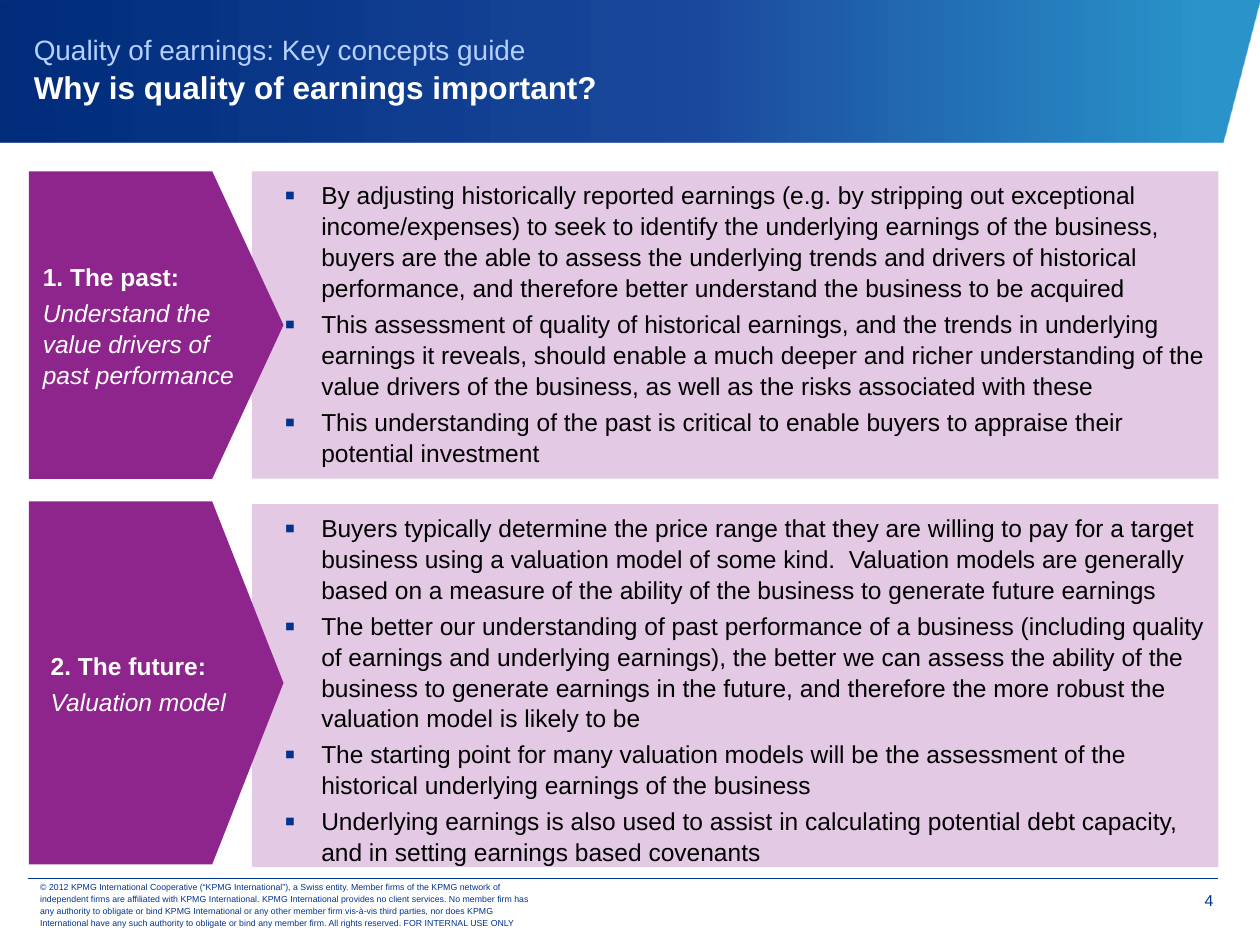
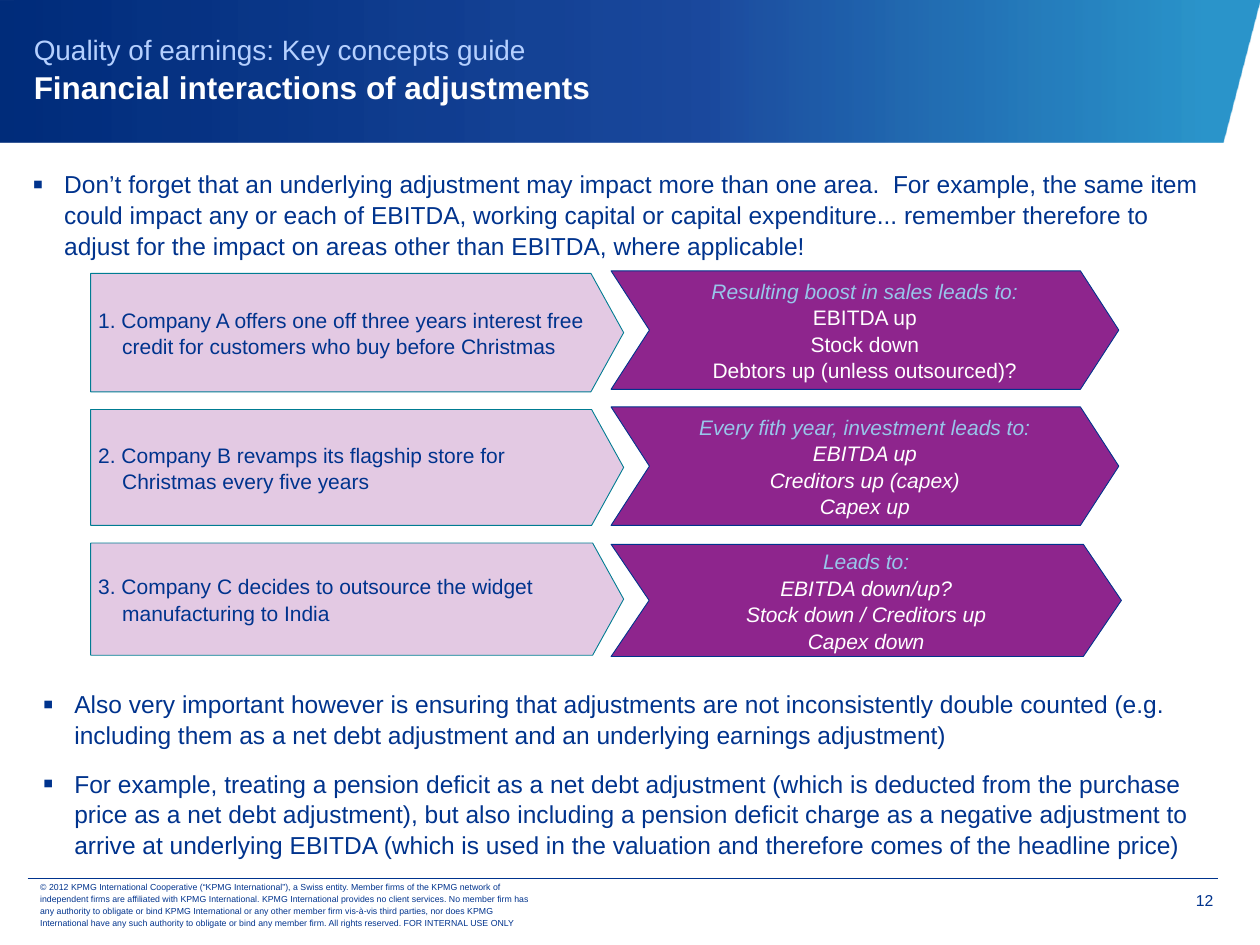
from dataclasses import dataclass
from typing import Any

import lxml.etree
import pptx
import pptx.dml.color
import pptx.enum.shapes
import pptx.enum.text
import pptx.oxml
import pptx.oxml.ns
import pptx.util

RGB = pptx.dml.color.RGBColor
Pt = pptx.util.Pt
MSO = pptx.enum.shapes.MSO_SHAPE
ALIGN = pptx.enum.text.PP_ALIGN
ANCHOR = pptx.enum.text.MSO_ANCHOR
qn = pptx.oxml.ns.qn

NAVY = RGB(0x00, 0x33, 0x8D)
PALE_BLUE = RGB(0xB5, 0xD0, 0xFF)
SKY = RGB(0x98, 0xC6, 0xEA)
TEAL = RGB(0x00, 0x7C, 0x92)
PURPLE = RGB(0x8E, 0x25, 0x8D)
LILAC = RGB(0xE3, 0xC9, 0xE3)
WHITE = RGB(0xFF, 0xFF, 0xFF)
BLACK = RGB(0x00, 0x00, 0x00)
BAND_STOPS = [
    (4, RGB(0x00, 0x80, 0xC0), 83),
    (44, RGB(0x00, 0x34, 0x92), 89),
    (100, RGB(0x00, 0x2C, 0x7A), 100),
]

WIDTH, HEIGHT = pptx.util.Inches(10), pptx.util.Inches(7.5)
COLUMN, ROW = WIDTH / 100, HEIGHT / 75
FONT = "Arial"
GUIDE = "Quality of earnings: Key concepts guide"
COPYRIGHT = (
    "© 2012 KPMG International Cooperative (“KPMG International”), a Swiss entity. "
    "Member firms of the KPMG network of independent firms are affiliated with KPMG "
    "International. KPMG International provides no client services. No member firm has any "
    "authority to obligate or bind KPMG International or any other member firm vis-à-vis third "
    "parties, nor does KPMG International have any such authority to obligate or bind any "
    "member firm. All rights reserved. FOR INTERNAL USE ONLY"
)


@dataclass(frozen=True)
class Box:
    left: float
    top: float
    width: float
    height: float

    def emu(self) -> list[int]:
        return [cols(self.left), rows(self.top), cols(self.width), rows(self.height)]


@dataclass(frozen=True)
class Para:
    text: str
    size: float
    color: RGB
    bold: bool = False
    italic: bool = False
    align: Any = None
    before: float = 0
    after: float = 0
    spacing: Any = 1.05
    indent: float = 0
    hanging: float = 0
    bullet: bool = False


@dataclass(frozen=True)
class Period:
    heading: str
    summary: str
    arrow_top: float
    panel_top: float
    height: float
    points: list[str]


@dataclass(frozen=True)
class Interaction:
    cause: str
    cause_top: float
    cause_height: float
    lead: str
    effects: list[str]
    effects_italic: bool
    effect: Box
    notch: float


def cols(n: float) -> int:
    return round(n * COLUMN)


def rows(n: float) -> int:
    return round(n * ROW)


def assign(obj: Any, values: dict[str, Any]) -> None:
    for name, value in values.items():
        setattr(obj, name, value)


def add_bullet(p: Any) -> None:
    pPr = p._p.get_or_add_pPr()
    clr = lxml.etree.SubElement(pPr, qn("a:buClr"))
    lxml.etree.SubElement(clr, qn("a:srgbClr"), val=str(NAVY))
    lxml.etree.SubElement(pPr, qn("a:buSzPct"), val="125000")
    lxml.etree.SubElement(pPr, qn("a:buFont"), typeface=FONT)
    lxml.etree.SubElement(pPr, qn("a:buChar"), char="▪")


def add_run(p: Any, para: Para) -> None:
    r = p.add_run()
    r.text = para.text
    assign(r.font, dict(name=FONT, size=Pt(para.size), bold=para.bold, italic=para.italic))
    r.font.color.rgb = para.color


def write(sp: Any, paras: list[Para], anchor: Any = ANCHOR.TOP,
          insets: tuple[float, float, float, float] = (0.6, 0.6, 0.6, 0.6)) -> None:
    tf = sp.text_frame
    left, top, right, bottom = insets
    assign(tf, dict(word_wrap=True, vertical_anchor=anchor,
                    margin_left=cols(left), margin_top=rows(top),
                    margin_right=cols(right), margin_bottom=rows(bottom)))
    for i, para in enumerate(paras):
        p = tf.add_paragraph() if i else tf.paragraphs[0]
        pPr = p._p.get_or_add_pPr()
        pPr.set("marL", str(cols(para.indent)))
        pPr.set("indent", str(-cols(para.hanging)))
        if para.bullet:
            add_bullet(p)
        assign(p, dict(alignment=para.align or ALIGN.LEFT, line_spacing=para.spacing,
                       space_before=Pt(para.before if i else 0), space_after=Pt(para.after)))
        add_run(p, para)


def add_text(s: Any, box: Box, paras: list[Para], **layout: Any) -> Any:
    sp = s.shapes.add_textbox(*box.emu())
    write(sp, paras, **layout)
    return sp


def add_block(s: Any, kind: Any, box: Box, fill: RGB, paras: list[Para],
              line: RGB | None = None, adjust: float | None = None,
              anchor: Any = ANCHOR.MIDDLE) -> Any:
    sp = s.shapes.add_shape(kind, *box.emu())
    sp.shadow.inherit = False
    sp.fill.solid()
    sp.fill.fore_color.rgb = fill
    if line is None:
        sp.line.fill.background()
    else:
        sp.line.color.rgb = line
        sp.line.width = Pt(0.5)
    if adjust is not None:
        sp.adjustments[0] = adjust
    write(sp, paras, anchor)
    return sp


def add_band(s: Any) -> None:
    outline = [(97, 11.3), (100, -0.1), (-0.1, 0)]
    builder = s.shapes.build_freeform(cols(-0.1), rows(11.3))
    builder.add_line_segments([(cols(x), rows(y)) for x, y in outline], close=True)
    sp = builder.convert_to_shape()
    sp.shadow.inherit = False
    sp.line.fill.background()
    sp.fill.gradient()
    sp.fill.gradient_angle = 180
    stops = sp.element.spPr.find(qn("a:gradFill")).find(qn("a:gsLst"))
    for stop in list(stops):
        stops.remove(stop)
    for position, color, alpha in BAND_STOPS:
        gs = lxml.etree.SubElement(stops, qn("a:gs"), pos=str(position * 1000))
        clr = lxml.etree.SubElement(gs, qn("a:srgbClr"), val=str(color))
        lxml.etree.SubElement(clr, qn("a:alpha"), val=str(alpha * 1000))


def add_frame(prs: Any, title: str, number: int) -> Any:
    s = prs.slides.add_slide(prs.slide_layouts[6])
    add_band(s)
    add_text(s, Box(90.8, 69.8, 5.5, 3.1), [Para(str(number), 9, NAVY, align=ALIGN.RIGHT)],
             insets=(0.8, 0.8, 0, 0))
    add_text(s, Box(2.2, 70, 41.5, 3.5), [Para(COPYRIGHT, 5, NAVY, spacing=Pt(7))],
             anchor=ANCHOR.MIDDLE, insets=(1, 0.5, 1, 0.5))
    rule = s.shapes.add_connector(pptx.enum.shapes.MSO_CONNECTOR.STRAIGHT,
                                  cols(2.2), rows(69.7), cols(96.7), rows(69.7))
    rule.line.color.rgb = NAVY
    rule.line.width = Pt(0.25)
    lxml.etree.SubElement(rule._element.spPr, qn("a:effectLst"))
    sp = add_text(s, Box(1.7, 0, 98.3, 10.8), [Para(GUIDE, 16, PALE_BLUE)],
                  anchor=ANCHOR.MIDDLE, insets=(1, 0.5, 1, 0.5))
    p = sp.text_frame.paragraphs[0]
    p.add_line_break()
    add_run(p, Para(title, 18, WHITE, bold=True))
    return s


def add_period(s: Any, period: Period) -> None:
    points = [Para(t, 14, BLACK, before=3, indent=4.9, hanging=2.9, bullet=True)
              for t in period.points]
    add_block(s, MSO.RECTANGLE, Box(20, period.panel_top, 76.7, period.height), LILAC, points,
              anchor=ANCHOR.TOP)
    label = [Para(period.heading, 14, WHITE, bold=True),
             Para(period.summary, 14, WHITE, italic=True, before=3)]
    sp = add_block(s, MSO.PENTAGON, Box(2.3, period.arrow_top, 20.2, period.height), PURPLE,
                   label, adjust=0.28)
    sp.element.txBody.bodyPr.set("anchorCtr", "1")


def add_interaction(s: Any, item: Interaction) -> None:
    add_block(s, MSO.PENTAGON, Box(7.2, item.cause_top, 42.3, item.cause_height), LILAC,
              [Para(item.cause, 12, NAVY, indent=1.9, hanging=1.9)], line=TEAL, adjust=0.276)
    lines = [Para(item.lead, 12, SKY, italic=True, align=ALIGN.CENTER)]
    lines += [Para(t, 12, WHITE, italic=item.effects_italic, align=ALIGN.CENTER)
              for t in item.effects]
    add_block(s, MSO.CHEVRON, item.effect, PURPLE, lines, line=NAVY, adjust=item.notch)


def add_notes_list(s: Any, box: Box, texts: list[str]) -> None:
    add_text(s, box, [Para(t, 14, NAVY, before=7, after=3, indent=2.5, hanging=2.5, bullet=True)
                      for t in texts], insets=(0, 0, 0, 0))


PERIODS = [
    Period("1. The past:", "Understand the value drivers of past performance", 13.6, 13.6, 24.4, [
        "By adjusting historically reported earnings (e.g. by stripping out exceptional "
        "income/expenses) to seek to identify the underlying earnings of the business, buyers "
        "are the able to assess the underlying trends and drivers of historical performance, "
        "and therefore better understand the business to be acquired",
        "This assessment of quality of historical earnings, and the trends in underlying "
        "earnings it reveals, should enable a much deeper and richer understanding of the value "
        "drivers of the business, as well as the risks associated with these",
        "This understanding of the past is critical to enable buyers to appraise their "
        "potential investment",
    ]),
    Period("2. The future:", "Valuation model", 39.8, 40, 28.8, [
        "Buyers typically determine the price range that they are willing to pay for a target "
        "business using a valuation model of some kind.  Valuation models are generally based "
        "on a measure of the ability of the business to generate future earnings",
        "The better our understanding of past performance of a business (including quality of "
        "earnings and underlying earnings), the better we can assess the ability of the "
        "business to generate earnings in the future, and therefore the more robust the "
        "valuation model is likely to be",
        "The starting point for many valuation models will be the assessment of the historical "
        "underlying earnings of the business",
        "Underlying earnings is also used to assist in calculating potential debt capacity, "
        "and in setting earnings based covenants",
    ]),
]

INTERACTIONS = [
    Interaction("1. Company A offers one off three years interest free credit for customers "
                "who buy before Christmas", 21.7, 9.4, "Resulting boost in sales leads to:",
                ["EBITDA up", "Stock down", "Debtors up (unless outsourced)?"], False,
                Box(48.5, 21.5, 40.3, 9.4), 0.324),
    Interaction("2. Company B revamps its flagship store for Christmas every five years",
                32.5, 9.2, "Every fith year, investment leads to:",
                ["EBITDA up", "Creditors up (capex)", "Capex up"], True,
                Box(48.5, 32.3, 40.3, 9.4), 0.324),
    Interaction("3. Company C decides to outsource the widget manufacturing to India",
                43.1, 8.9, "Leads to:",
                ["EBITDA down/up?", "Stock down / Creditors up", "Capex down"], True,
                Box(48.5, 43.2, 40.5, 8.9), 0.339),
]

OPENING = [
    "Don’t forget that an underlying adjustment may impact more than one area.  For example, "
    "the same item could impact any or each of EBITDA, working capital or capital "
    "expenditure... remember therefore to adjust for the impact on areas other than EBITDA, "
    "where applicable!",
]
CLOSING = [
    "Also very important however is ensuring that adjustments are not inconsistently double "
    "counted (e.g. including them as a net debt adjustment and an underlying earnings "
    "adjustment)",
    "For example, treating a pension deficit as a net debt adjustment (which is deducted from "
    "the purchase price as a net debt adjustment), but also including a pension deficit charge "
    "as a negative adjustment to arrive at underlying EBITDA (which is used in the valuation "
    "and therefore comes of the headline price)",
]


def main() -> None:
    prs = pptx.Presentation()
    assign(prs, dict(slide_width=WIDTH, slide_height=HEIGHT))
    s = add_frame(prs, "Why is quality of earnings important?", 4)
    for period in PERIODS:
        add_period(s, period)
    s = add_frame(prs, "Financial interactions of adjustments", 12)
    add_notes_list(s, Box(2.6, 13.3, 92.8, 8.2), OPENING)
    for item in INTERACTIONS:
        add_interaction(s, item)
    add_notes_list(s, Box(3.4, 54.6, 91.8, 14.2), CLOSING)
    prs.save("out.pptx")


if __name__ == "__main__":
    main()
